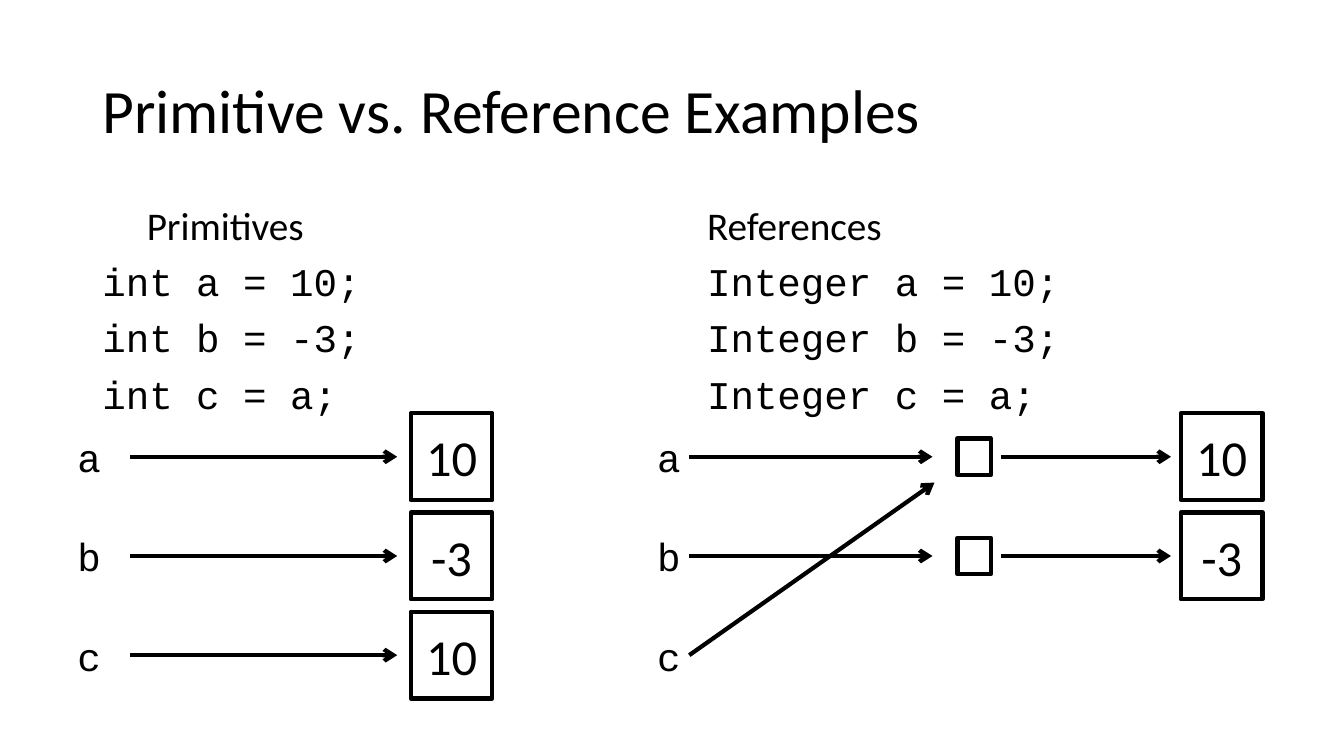
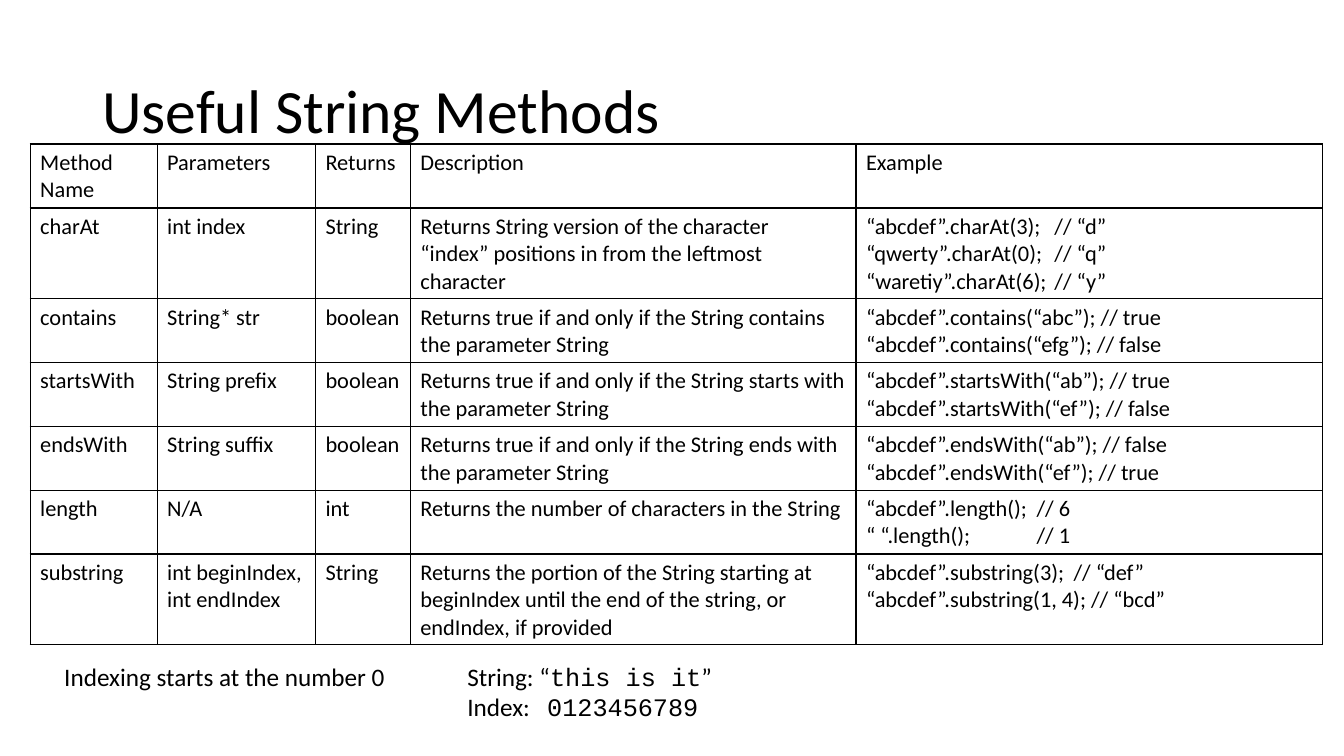
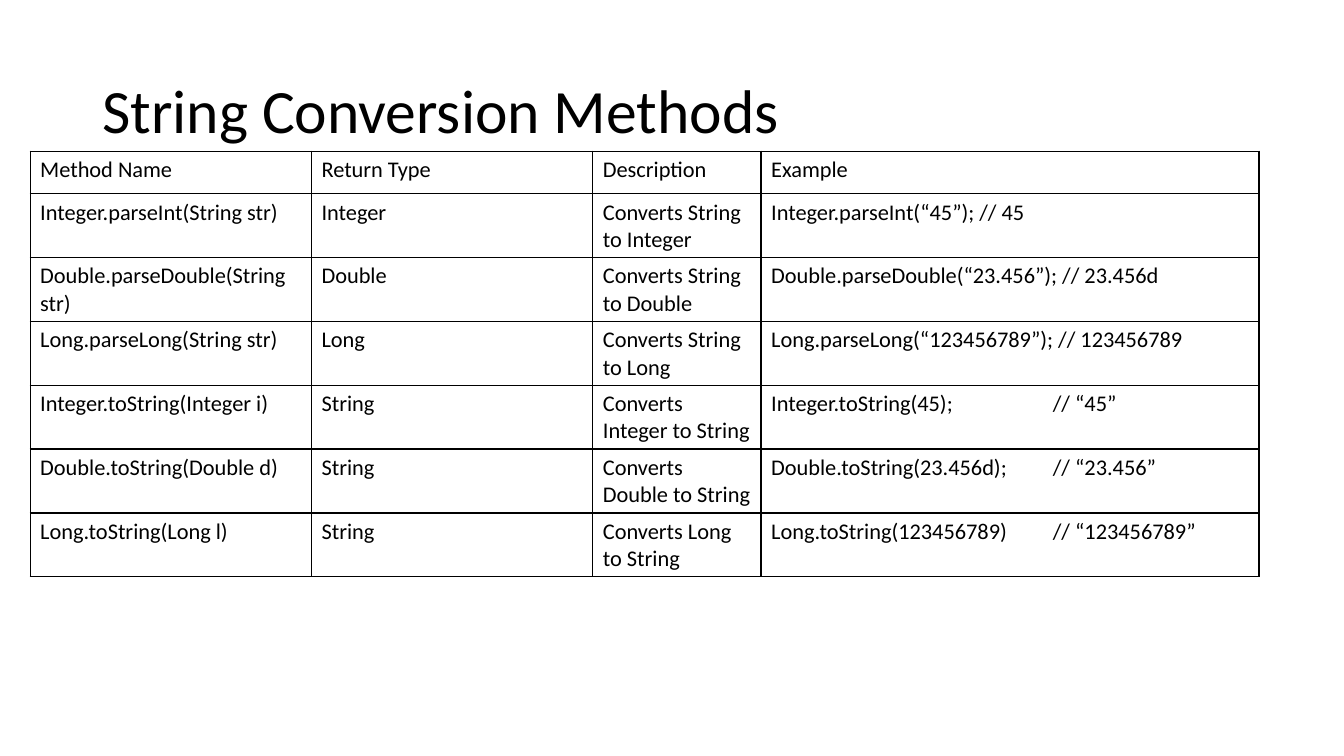
from lxml.etree import SubElement
from pptx import Presentation
from pptx.dml.color import RGBColor
from pptx.enum.shapes import MSO_CONNECTOR, MSO_SHAPE
from pptx.enum.text import MSO_ANCHOR, PP_ALIGN
from pptx.oxml.ns import qn
from pptx.util import Cm, Pt

# Shared style
COLORS = {"ink": "000000", "paper": "FFFFFF"}
INK = RGBColor.from_string(COLORS["ink"])
PAPER = RGBColor.from_string(COLORS["paper"])
TEXT_FONT, CODE_FONT = "Calibri", "Courier New"


def write(frame, text, size=28, align=PP_ALIGN.LEFT, anchor=MSO_ANCHOR.TOP,
          spacing=None, before=None, stops=()):
    """Fill a text frame; backticks enclose code, stops are tab stops in cm."""
    frame.word_wrap = True
    frame.vertical_anchor = anchor
    for number, line in enumerate(text.split("\n")):
        para = frame.add_paragraph() if number else frame.paragraphs[0]
        para.alignment = align
        para.line_spacing = spacing
        para.space_before = before
        if stops:
            tabs = SubElement(para._p.get_or_add_pPr(), qn("a:tabLst"))
            for stop in stops:
                SubElement(tabs, qn("a:tab"), pos=str(Cm(stop)), algn="l")
        for part, words in enumerate(line.split("`")):
            if words:
                span = para.add_run()
                span.text = words
                span.font.name = CODE_FONT if part % 2 else TEXT_FONT
                span.font.size = Pt(size)
                span.font.color.rgb = INK


def add_grid(page, top, height, widths, rows, stops):
    """Add a plain table with thin black borders; widths are in cm."""
    holder = page.shapes.add_table(len(rows), len(widths), Cm(0.76), Cm(top),
                                   Cm(sum(widths)), Cm(height))
    table = holder.table
    table.first_row = table.horz_banding = False
    for column, width in zip(table.columns, widths):
        column.width = Cm(width)
    for row, texts in zip(table.rows, rows):
        row.height = Cm(1.07)
        for cell, text in zip(row.cells, texts):
            write(cell.text_frame, text, size=16, stops=stops if "\t" in text else ())
            borders = cell._tc.get_or_add_tcPr()
            for side in ("lnL", "lnR", "lnT", "lnB"):
                line = SubElement(borders, qn(f"a:{side}"), w=str(Pt(1)))
                paint = SubElement(line, qn("a:solidFill"))
                SubElement(paint, qn("a:srgbClr"), val=COLORS["ink"])
            cell.fill.background()
    holder.height = Cm(height)


# Deck, pages and titles
deck = Presentation()
deck.slide_width, deck.slide_height = Cm(33.87), Cm(19.05)
pages = []
for title in ("Primitive vs. Reference Examples", "Useful String Methods",
              "String Conversion Methods"):
    page = deck.slides.add_slide(deck.slide_layouts[6])
    page.background.fill.solid()
    page.background.fill.fore_color.rgb = PAPER
    box = page.shapes.add_textbox(Cm(2.33), Cm(1.01), Cm(29.21), Cm(3.68))
    write(box.text_frame, title, size=44, anchor=MSO_ANCHOR.MIDDLE, spacing=0.9)
    pages.append(page)
memory_page, methods_page, conversion_page = pages

# Slide 1: code in two columns
box = memory_page.shapes.add_textbox(Cm(2.33), Cm(5.07), Cm(29.21), Cm(12.09))
write(box.text_frame,
      "\tPrimitives\tReferences\n"
      "`int a = 10;\tInteger a = 10;`\n"
      "`int b = -3;\tInteger b = -3;`\n"
      "`int c = a;\tInteger c = a;`",
      spacing=0.9, before=Pt(10), stops=(1.12, 15.24))

# Slide 1: variable names, one row per variable
ROW_STEP = 2.5
ARROW_TOP = 11.51
for left in (1.7, 16.31):
    for row, name in enumerate("abc"):
        box = memory_page.shapes.add_textbox(
            Cm(left), Cm(10.8 + row * ROW_STEP), Cm(1.2), Cm(1.45))
        write(box.text_frame, f"`{name}`")

# Slide 1: value boxes and empty reference boxes, centred on their row
VALUE_SIZE, REFERENCE_SIZE = (2.06, 2.19), (0.84, 0.92)
for left, (width, height), values in ((10.35, VALUE_SIZE, ("10", "-3", "10")),
                                      (24.13, REFERENCE_SIZE, ("", "")),
                                      (29.76, VALUE_SIZE, ("10", "-3"))):
    for row, value in enumerate(values):
        middle = ARROW_TOP + row * ROW_STEP
        box = memory_page.shapes.add_shape(
            MSO_SHAPE.RECTANGLE, Cm(left), Cm(middle - height / 2), Cm(width), Cm(height))
        box.shadow.inherit = False
        box.fill.solid()
        box.fill.fore_color.rgb = PAPER
        box.line.color.rgb = INK
        box.line.width = Pt(3)
        write(box.text_frame, value, size=36, align=PP_ALIGN.CENTER,
              anchor=MSO_ANCHOR.MIDDLE)

# Slide 1: arrows as start, end, start row and end row
PRIMITIVE, TO_REFERENCE, TO_VALUE = (3.28, 10.01), (17.37, 23.5), (25.22, 29.51)
arrows = [(*PRIMITIVE, row, row) for row in range(3)]
arrows += [(*span, row, row) for span in (TO_REFERENCE, TO_VALUE) for row in range(2)]
arrows.append((17.37, 23.55, 2, 0.26))
for start, end, start_row, end_row in arrows:
    arrow = memory_page.shapes.add_connector(
        MSO_CONNECTOR.STRAIGHT, Cm(start), Cm(ARROW_TOP + start_row * ROW_STEP),
        Cm(end), Cm(ARROW_TOP + end_row * ROW_STEP))
    arrow.line.color.rgb = INK
    arrow.line.width = Pt(3)
    SubElement(arrow.line._get_or_add_ln(), qn("a:tailEnd"), type="arrow")
    SubElement(arrow._element.spPr, qn("a:effectLst"))

# Slide 2: String methods
method_rows = [
    ("Method Name", "Parameters", "Returns", "Description", "Example"),
    ("charAt", "int index", "String",
     "Returns String version of the character\n"
     "“index” positions in from the leftmost character",
     "“abcdef”.charAt(3);\t// “d”\n“qwerty”.charAt(0);\t// “q”\n“waretiy”.charAt(6);\t// “y”"),
    ("contains", "String* str", "boolean",
     "Returns true if and only if the String contains the parameter String",
     "“abcdef”.contains(“abc”); // true\n“abcdef”.contains(“efg”); // false"),
    ("startsWith", "String prefix", "boolean",
     "Returns true if and only if the String starts with the parameter String",
     "“abcdef”.startsWith(“ab”); // true\n“abcdef”.startsWith(“ef”); // false"),
    ("endsWith", "String suffix", "boolean",
     "Returns true if and only if the String ends with the parameter String",
     "“abcdef”.endsWith(“ab”); // false\n“abcdef”.endsWith(“ef”); // true"),
    ("length", "N/A", "int", "Returns the number of characters in the String",
     "“abcdef”.length();\t// 6\n“ “.length();\t// 1"),
    ("substring", "int beginIndex,\nint endIndex", "String",
     "Returns the portion of the String starting at beginIndex until the end "
     "of the string, or endIndex, if provided",
     "“abcdef”.substring(3);\t// “def”\n“abcdef”.substring(1, 4); // “bcd”"),
]
add_grid(methods_page, 3.63, 12.62, (3.2, 3.99, 2.39, 11.23, 11.76), method_rows,
         stops=(4.3, 4.75, 5.23))

# Slide 2: indexing note
box = methods_page.shapes.add_textbox(Cm(1.37), Cm(16.54), Cm(31.37), Cm(1.8))
write(box.text_frame,
      "Indexing starts at the number 0\tString: “`this is it`”\n"
      "\tIndex:\t`0123456789`",
      size=18, stops=(10.16, 12.17))

# Slide 3: conversion methods
conversion_rows = [("Method Name", "Return Type", "Description", "Example")]
for kind, parser, argument, result in (
        ("Integer", "parseInt", "45", "45"),
        ("Double", "parseDouble", "23.456", "23.456d"),
        ("Long", "parseLong", "123456789", "123456789")):
    conversion_rows.append((f"{kind}.{parser}(String str)", kind,
                            f"Converts String to {kind}",
                            f"{kind}.{parser}(“{argument}”); // {result}"))
for kind, name, call, result in (
        ("Integer", "i", "(45);", "45"),
        ("Double", "d", "(23.456d);", "23.456"),
        ("Long", "l", "(123456789)", "123456789")):
    conversion_rows.append((f"{kind}.toString({kind} {name})", "String",
                            f"Converts {kind} to String",
                            f"{kind}.toString{call}\t// “{result}”"))
add_grid(conversion_page, 3.81, 10.72, (7.09, 7.09, 4.24, 12.55), conversion_rows,
         stops=(7.1,))

deck.save("out.pptx")
